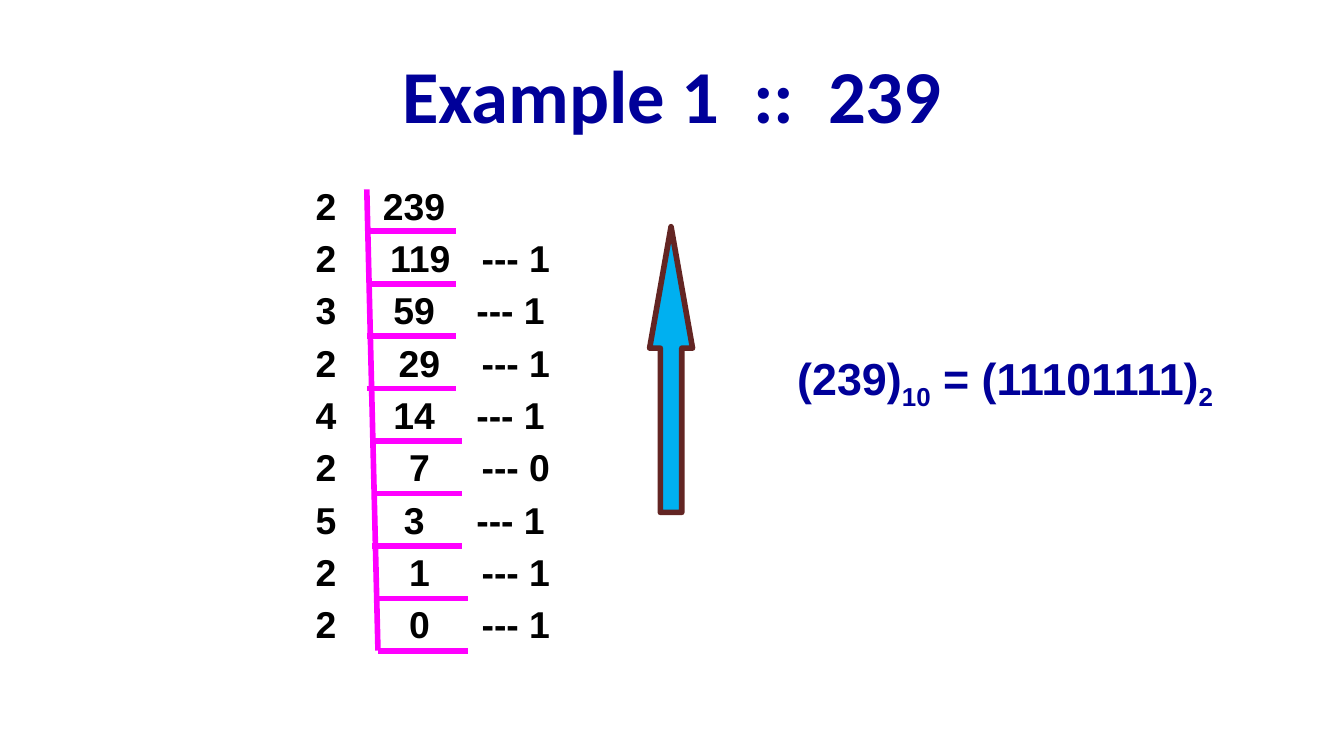
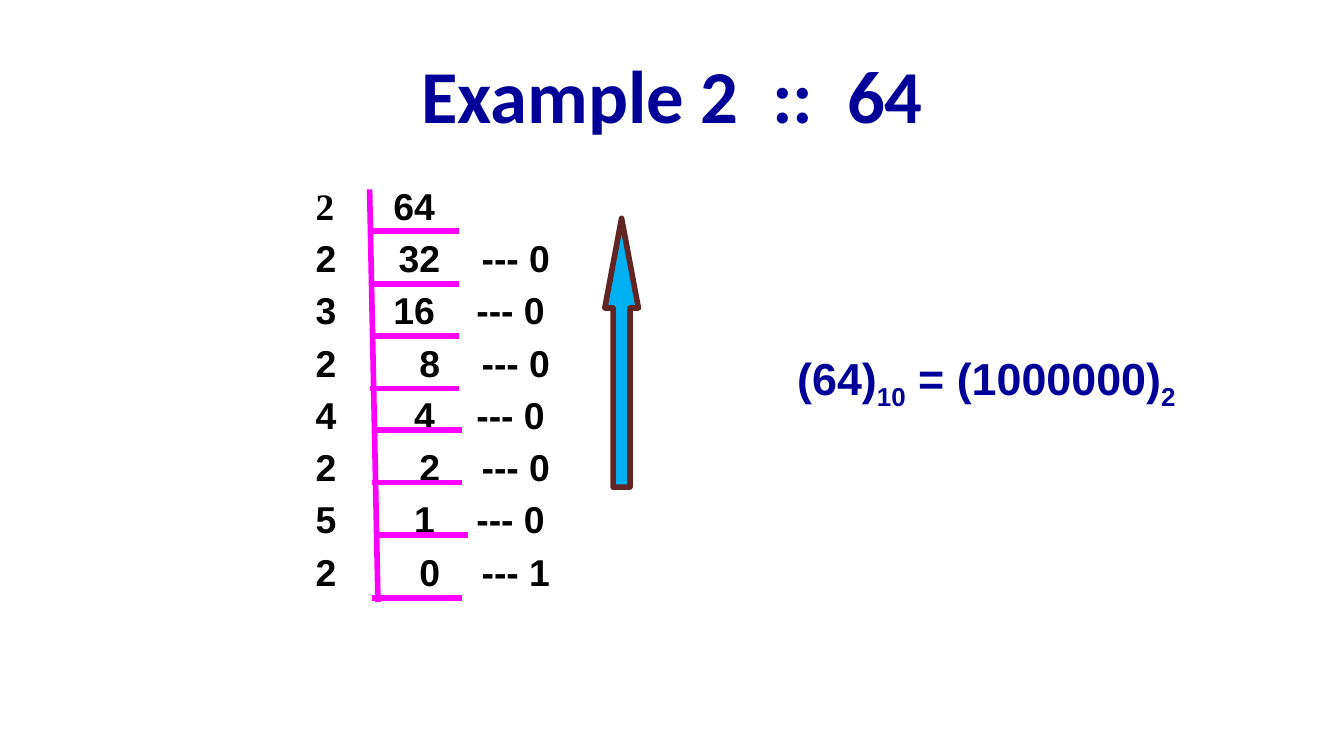
import dataclasses

import lxml.etree
import pptx
import pptx.dml.color
import pptx.enum.shapes
import pptx.enum.text
import pptx.oxml.ns
import pptx.util

Pt = pptx.util.Pt
Align = pptx.enum.text.PP_ALIGN
Anchor = pptx.enum.text.MSO_ANCHOR


@dataclasses.dataclass(frozen=True)
class Theme:
    navy: str = "000099"
    black: str = "000000"
    magenta: str = "FF00FF"
    sky: str = "00B0F0"
    maroon: str = "632523"
    title_font: str = "Calibri"
    body_font: str = "Arial"
    serif_font: str = "Times New Roman"
    title_size: int = 40
    formula_size: int = 24
    ladder_size: int = 20
    line_width: int = 3


@dataclasses.dataclass(frozen=True)
class Box:
    left: float
    top: float
    width: float
    height: float


@dataclasses.dataclass(frozen=True)
class Example:
    title: str
    divisors: str
    quotients: tuple
    remainders: str
    centred_digits: bool
    first_divisor_font: str
    ladder_box: Box
    rail: tuple
    rung_lefts: tuple
    rung_tops: tuple
    arrow_box: Box
    head_ratio: float
    formula_box: Box
    decimal: str
    binary: str


THEME = Theme()
TITLE_BOX = Box(36, 16.5, 648, 67.5)
RUNG_START = 29.4
RUNG_GAP = 28.1
RUNG_WIDTH = 48
DIGIT_WIDTH = 5.56
REMAINDER_STOP = 88.9
ROW_SHIFT = 2.8

EXAMPLES = (
    Example(
        title="Example 1  ::  239",
        divisors="223242522",
        quotients=(239, 119, 59, 29, 14, 7, 3, 1, 0),
        remainders="11110111",
        centred_digits=True,
        first_divisor_font=THEME.body_font,
        ladder_box=Box(162, 94.5, 234, 254),
        rail=(34.5, 7, 40.5, 254),
        rung_lefts=(34.5,) * 4 + (37.5,) * 3 + (40.5,) * 2,
        rung_tops=tuple(RUNG_START + RUNG_GAP * step for step in range(9)),
        arrow_box=Box(348, 121.5, 23, 153),
        head_ratio=2.83,
        formula_box=Box(420, 184.5, 270, 36),
        decimal="239",
        binary="11101111",
    ),
    Example(
        title="Example 2  ::  64",
        divisors="22324252",
        quotients=(64, 32, 16, 8, 4, 2, 1, 0),
        remainders="0000001",
        centred_digits=False,
        first_divisor_font=THEME.serif_font,
        ladder_box=Box(162, 94.5, 234, 227),
        rail=(36, 7, 40.5, 228),
        rung_lefts=(36,) * 4 + (37.5,) * 2 + (40.5, 37.5),
        rung_tops=tuple(RUNG_START + RUNG_GAP * step for step in range(4))
        + (136, 164, 192, 226),
        arrow_box=Box(324, 117, 18, 144),
        head_ratio=2.67,
        formula_box=Box(420, 184.5, 240, 36),
        decimal="64",
        binary="1000000",
    ),
)


def colour(value):
    return pptx.dml.color.RGBColor.from_string(value)


def add_frame(page, box, anchor=Anchor.TOP):
    shape = page.shapes.add_textbox(
        Pt(box.left), Pt(box.top), Pt(box.width), Pt(box.height)
    )
    frame = shape.text_frame
    frame.word_wrap = True
    frame.vertical_anchor = anchor
    return frame


def add_span(para, text, *, font, size, ink, subscript=False):
    span = para.add_run()
    span.text = text
    span.font.name = font
    span.font.size = Pt(size)
    span.font.bold = True
    span.font.color.rgb = colour(ink)
    if subscript:
        span.font._element.set("baseline", "-25000")


def set_tabs(para, stops):
    tag = pptx.oxml.ns.qn
    tabs = lxml.etree.SubElement(para._p.get_or_add_pPr(), tag("a:tabLst"))
    for position, side in stops:
        lxml.etree.SubElement(
            tabs, tag("a:tab"), pos=str(int(Pt(position))), algn=side
        )


def add_rule(page, box, start_x, start_y, end_x, end_y):
    rule = page.shapes.add_connector(
        pptx.enum.shapes.MSO_CONNECTOR.STRAIGHT,
        Pt(box.left + start_x),
        Pt(box.top + start_y),
        Pt(box.left + end_x),
        Pt(box.top + end_y),
    )
    rule.line.color.rgb = colour(THEME.magenta)
    rule.line.width = Pt(THEME.line_width)
    lxml.etree.SubElement(
        rule._element.spPr, pptx.oxml.ns.qn("a:effectLst")
    )


def add_title(page, box, text):
    para = add_frame(page, box, Anchor.MIDDLE).paragraphs[0]
    para.alignment = Align.CENTER
    add_span(para, text, font=THEME.title_font, size=THEME.title_size,
             ink=THEME.navy)


def add_divisions(page, box, example):
    frame = add_frame(page, box)
    remainders = ("",) + tuple(example.remainders)
    rows = zip(example.divisors, example.quotients, remainders)
    style = {"size": THEME.ladder_size, "ink": THEME.black}
    for index, (divisor, quotient, remainder) in enumerate(rows):
        para = frame.add_paragraph() if index else frame.paragraphs[0]
        para.space_before = Pt(4 if index else 2)
        digits = len(str(quotient)) if example.centred_digits else 2
        shift = ROW_SHIFT if index in (0, 2, 4, 6) else 0
        quotient_stop = 10 * DIGIT_WIDTH + digits * DIGIT_WIDTH - shift
        set_tabs(para, ((quotient_stop, "r"), (REMAINDER_STOP - shift, "l")))
        font = THEME.body_font if index else example.first_divisor_font
        add_span(para, divisor, font=font, **style)
        tail = f"\t--- {remainder}" if remainder else ""
        add_span(para, f"\t{quotient}{tail}", font=THEME.body_font, **style)


def add_ladder(page, box, example):
    add_divisions(page, box, example)
    for left, top in zip(example.rung_lefts, example.rung_tops):
        add_rule(page, box, left, top, left + RUNG_WIDTH, top)
    add_rule(page, box, *example.rail)


def add_reading_arrow(page, box, head_ratio):
    arrow = page.shapes.add_shape(
        pptx.enum.shapes.MSO_SHAPE.UP_ARROW,
        Pt(box.left), Pt(box.top), Pt(box.width), Pt(box.height),
    )
    arrow.shadow.inherit = False
    arrow.adjustments[0] = 0.5
    arrow.adjustments[1] = head_ratio
    arrow.fill.solid()
    arrow.fill.fore_color.rgb = colour(THEME.sky)
    arrow.line.color.rgb = colour(THEME.maroon)
    arrow.line.width = Pt(THEME.line_width)


def add_formula(page, box, decimal, binary):
    para = add_frame(page, box).paragraphs[0]
    para.space_before = Pt(2)
    parts = (f"({decimal})", "10", f" = ({binary})", "2")
    for index, text in enumerate(parts):
        add_span(para, text, font=THEME.body_font, size=THEME.formula_size,
                 ink=THEME.navy, subscript=index % 2 == 1)


def add_example(deck, example):
    page = deck.slides.add_slide(deck.slide_layouts[6])
    add_title(page, TITLE_BOX, example.title)
    add_ladder(page, example.ladder_box, example)
    add_reading_arrow(page, example.arrow_box, example.head_ratio)
    add_formula(page, example.formula_box, example.decimal, example.binary)


def main():
    deck = pptx.Presentation()
    deck.slide_width = Pt(720)
    deck.slide_height = Pt(405)
    for example in EXAMPLES:
        add_example(deck, example)
    deck.save("out.pptx")


if __name__ == "__main__":
    main()
